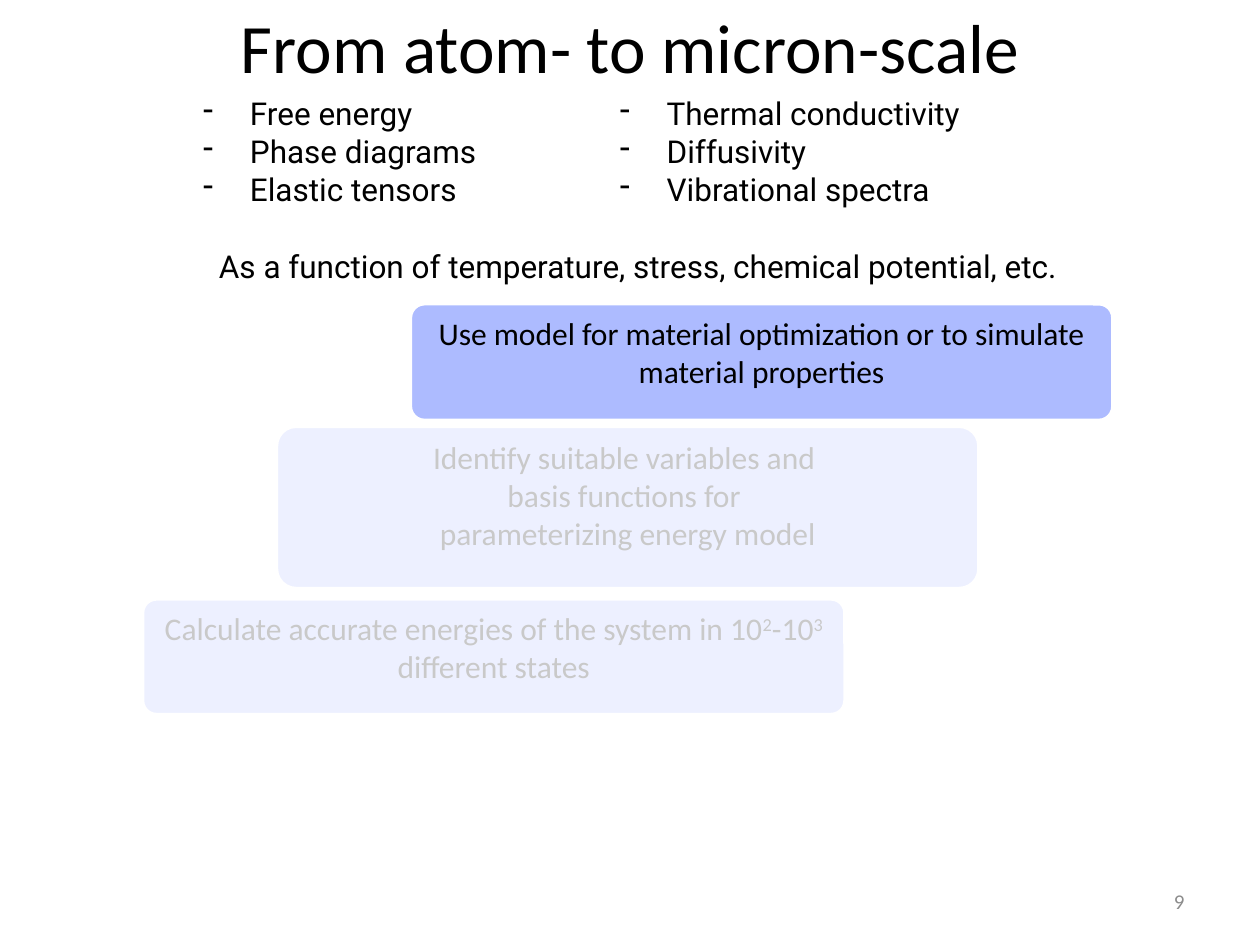
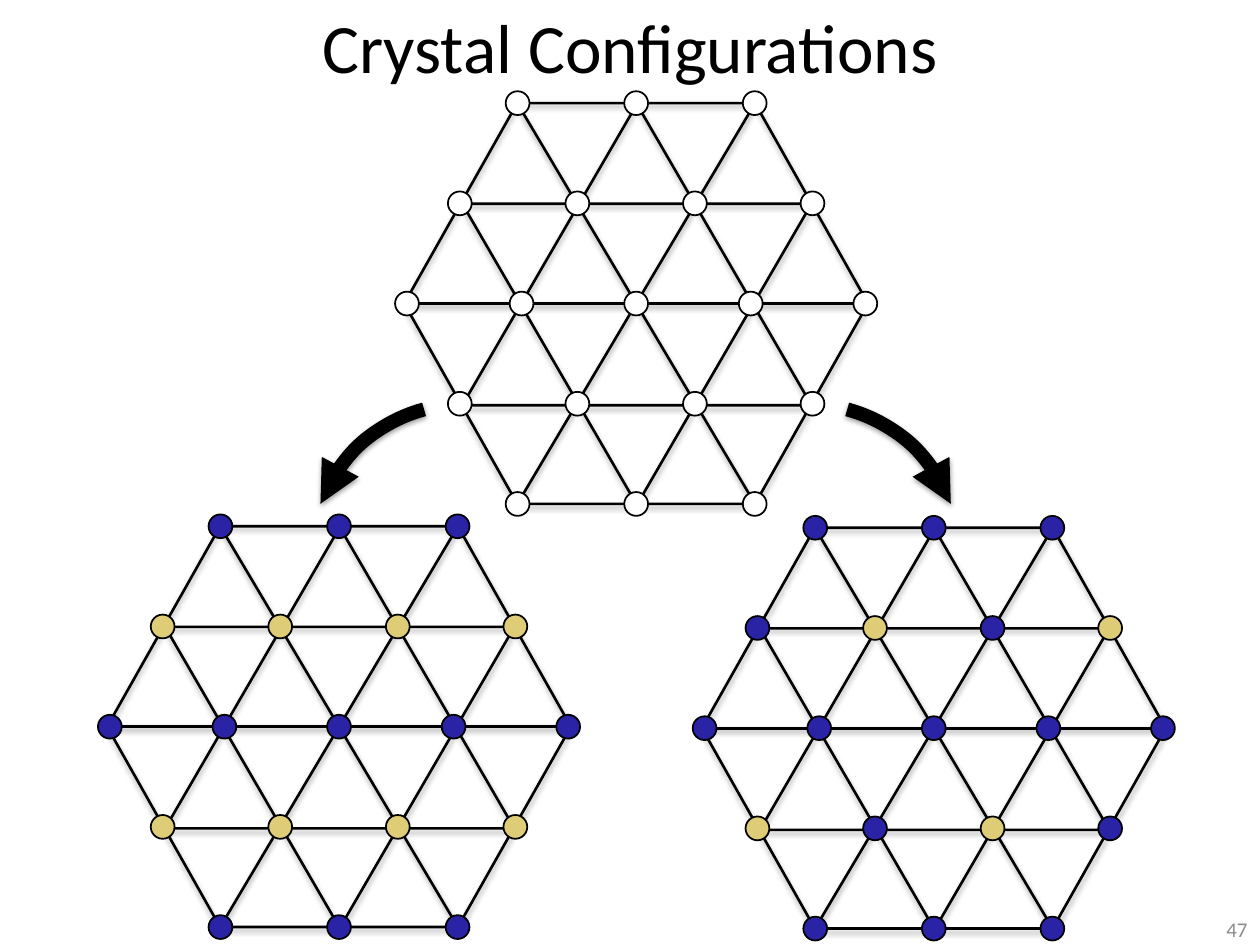
from lxml import etree
from pptx import Presentation
from pptx import util as u
from pptx.dml.color import RGBColor
from pptx.enum import shapes, text
from pptx.oxml.ns import qn

HUES = {"ink": "000000", "paper": "FFFFFF", "step": "ADBBFF",
        "page": "8C8C8C", "blue": "2A23A6", "sand": "DECC76"}
KINDS = shapes.MSO_SHAPE
ALIGN = text.PP_ALIGN
WIDE, TALL = 25.4, 19.05


def hue(name):
    return RGBColor.from_string(HUES[name])


def node(parent, tag, **attrs):
    return etree.SubElement(parent, qn(tag), {k: str(v) for k, v in attrs.items()})


def place(box):
    return [u.Cm(n) for n in box]


def write(frame, lines, size=18, font="Calibri", color="ink", align=ALIGN.CENTER,
          anchor=text.MSO_ANCHOR.TOP, bullet=None):
    """Fill a frame with paragraphs; ^ marks superscripts, \\n breaks a line."""
    frame.word_wrap = True
    frame.vertical_anchor = anchor
    for i, line in enumerate(lines):
        para = frame.add_paragraph() if i else frame.paragraphs[0]
        para.alignment = align
        if bullet:
            props = para._p.get_or_add_pPr()
            hang = u.Cm(0.95)
            props.set("marL", str(hang))
            props.set("indent", str(-hang))
            node(props, "a:buChar", char=bullet)
        for j, row in enumerate(line.split("\n")):
            if j:
                para.add_line_break()
            for k, part in enumerate(row.split("^")):
                run = para.add_run()
                run.text = part
                run.font.size = u.Pt(size)
                run.font.name = font
                run.font.color.rgb = hue(color)
                if k % 2:
                    run.font._element.set("baseline", "30000")


def label(slide, box, lines, **style):
    write(slide.shapes.add_textbox(*place(box)).text_frame, lines, **style)


def stroke(item, width, color="ink", shade=None, head=False):
    """Outline an item; shade is (opacity %, distance in points)."""
    item.line.color.rgb = hue(color)
    item.line.width = u.Pt(width)
    if head:
        node(item.line._ln, "a:tailEnd", type="triangle")
    glow = node(item._element.spPr, "a:effectLst")
    if shade:
        fade, drop = shade
        cast = node(glow, "a:outerShdw", blurRad=u.Pt(3.1), dist=u.Pt(drop),
                    dir=90 * 60000, rotWithShape=0)
        tint = node(cast, "a:srgbClr", val=HUES["ink"])
        node(tint, "a:alpha", val=fade * 1000)


def form(host, kind, box, fill=None, adjust=()):
    item = host.shapes.add_shape(kind, *place(box))
    for i, value in enumerate(adjust):
        item.adjustments[i] = value
    if fill:
        item.fill.solid()
        item.fill.fore_color.rgb = hue(fill)
    else:
        item.fill.background()
    return item


def frame(deck, title, page, side, foot):
    """Start a slide with its title and page number."""
    slide = deck.slides.add_slide(deck.slide_layouts[6])
    mid = text.MSO_ANCHOR.MIDDLE
    label(slide, (side, 0.05, WIDE - 2 * side, 1.75), [title], size=39.6, anchor=mid)
    label(slide, foot, [page], size=12, color="page", align=ALIGN.RIGHT, anchor=mid)
    return slide


# Stepped boxes, the lower ones faded by a veil
def stairs(slide, left, steps):
    for i, (top, high, words) in enumerate(steps):
        step = form(slide, KINDS.ROUNDED_RECTANGLE,
                    (left + 2.7 * i, top, 14.17, high), "step", [0.122])
        stroke(step, 2.25, "paper")
        write(step.text_frame, [words])


def veil(slide, box):
    sheet = form(slide, KINDS.RECTANGLE, box, "paper")
    sheet.line.fill.background()
    sheet.shadow.inherit = False
    tint = sheet._element.spPr.find(".//" + qn("a:srgbClr"))
    node(tint, "a:alpha", val=79000)


def scale(deck):
    slide = frame(deck, "From atom- to micron-scale", "9", 1.27,
                  (18.21, 17.65, 5.92, 1.02))
    stairs(slide, 2.87, [
        (12.07, 2.34, "Calculate accurate energies of the system in 10^2^-10^3^ different states"),
        (8.59, 3.28, "Identify suitable variables and \nbasis functions for \n"
                     "parameterizing energy model"),
        (6.12, 2.36, "Use model for material optimization or to simulate material properties")])
    # Properties
    for left, items in (
            (3.84, ["Free energy", "Phase diagrams", "Elastic tensors"]),
            (12.24, ["Thermal conductivity", "Diffusivity", "Vibrational spectra"])):
        label(slide, (left, 1.78, 9.35, 3.12), items, font="Roboto",
              align=ALIGN.LEFT, bullet="-")
    label(slide, (1.27, 4.85, 23.19, 1.22),
          ["As a function of temperature, stress, chemical potential, etc."], font="Roboto")
    veil(slide, (1.63, 8.56, 19.15, 7.14))


# Hexagonal lattice with coloured sites
def lattice(slide, left, top, rows):
    wide, high, dot, skew = 9.35, 8.08, 0.48, 0.282
    group = slide.shapes.add_group_shape()
    near, far = left + skew * high, left + wide - skew * high
    for ends in ((near, top, far, top + high), (far, top, near, top + high),
                 (left, top + high / 2, left + wide, top + high / 2)):
        bond = group.shapes.add_connector(shapes.MSO_CONNECTOR.STRAIGHT, *place(ends))
        stroke(bond, 1.5, shade=(38, 1.6))
    hexa = form(group, KINDS.HEXAGON, (left, top, wide, high), adjust=[skew])
    peaks = [form(group, KINDS.ISOSCELES_TRIANGLE, (left + 1.17, top + dip, 7.04, 6.07))
             for dip in (0.02, 2.03)]
    peaks[1]._element.spPr.xfrm.set("flipV", "1")
    for edge in (hexa, *peaks):
        stroke(edge, 1.5, shade=(35, 1.8))
    # Sites
    hues = {"w": "paper", "b": "blue", "y": "sand"}
    pitch = {3: 2.39, 4: 2.37, 5: 2.31}
    for i, row in enumerate(rows.split()):
        for j, key in enumerate(row):
            x = left + wide / 2 + (j - (len(row) - 1) / 2) * pitch[len(row)]
            y = top + i * high / 4
            site = form(group, KINDS.OVAL, (x - dot / 2, y - dot / 2, dot, dot), hues[key])
            stroke(site, 1)


def crystal(deck):
    slide = frame(deck, "Crystal Configurations", "47", 0, (20.12, 18.42, 5.28, 0.64))
    lattice(slide, 8.15, 2.08, "www wwww wwwww wwww www")
    lattice(slide, 14.15, 10.64, "bbb byby bbbbb ybyb bbb")
    lattice(slide, 2.16, 10.61, "bbb yyyy bbbbb yyyy bbb")
    # Curved arrows
    for left, flip in ((13.21, False), (6.27, True)):
        arc = form(slide, KINDS.ARC, (left, 8.15, 6.15, 6.15), adjust=[170.979, 203.798])
        stroke(arc, 8, shade=(38, 1.6), head=True)
        if flip:
            arc._element.spPr.xfrm.set("flipH", "1")


def main():
    deck = Presentation()
    deck.slide_width, deck.slide_height = place((WIDE, TALL))
    scale(deck)
    crystal(deck)
    deck.save("out.pptx")


if __name__ == "__main__":
    main()
